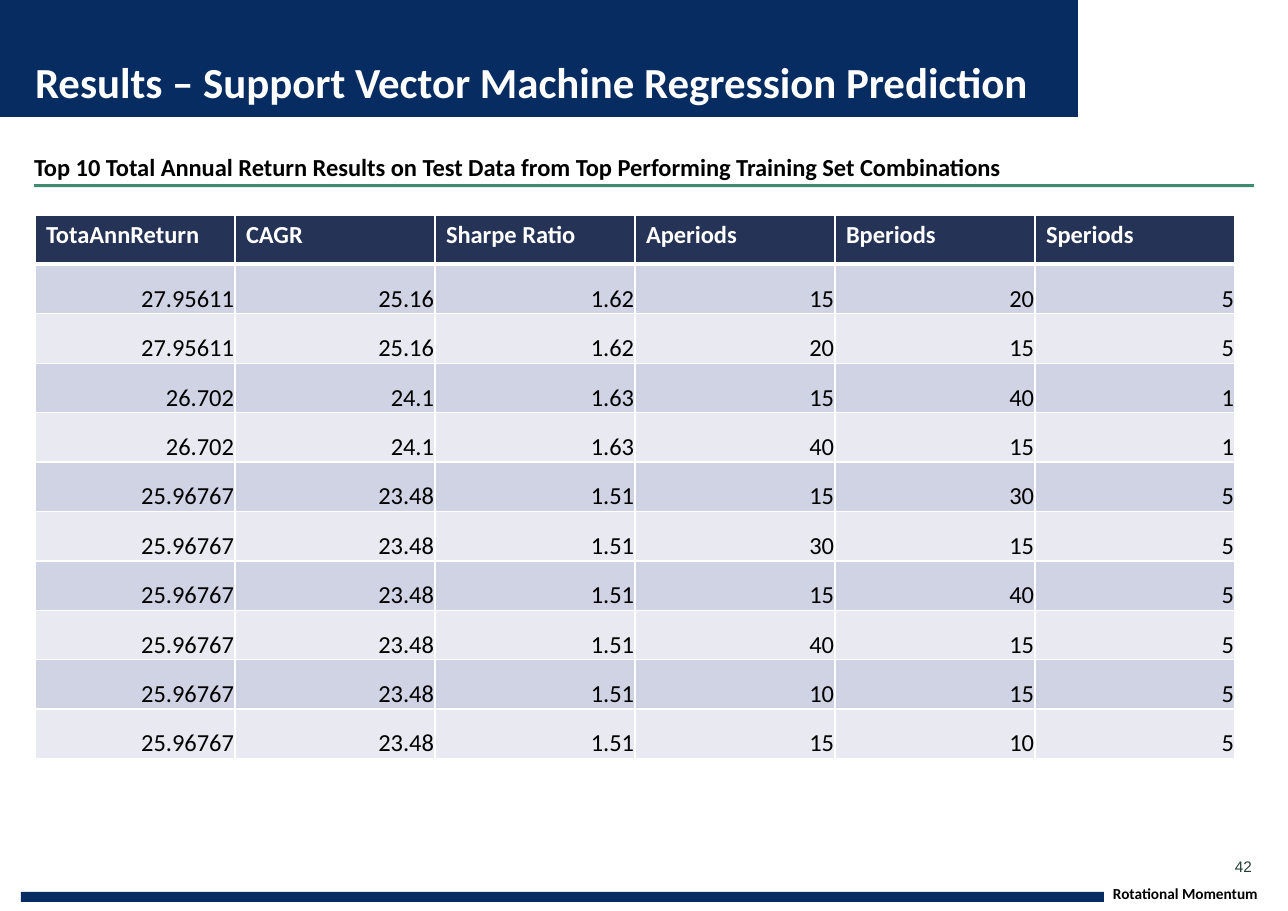
from lxml import etree
from pptx import Presentation
from pptx.dml.color import RGBColor
from pptx.enum.shapes import MSO_SHAPE
from pptx.enum.text import MSO_ANCHOR, MSO_AUTO_SIZE, PP_ALIGN
from pptx.oxml import parse_xml
from pptx.oxml.ns import nsdecls, qn
from pptx.util import Pt

RECT = MSO_SHAPE.RECTANGLE
TOP, MIDDLE, BOTTOM = MSO_ANCHOR.TOP, MSO_ANCHOR.MIDDLE, MSO_ANCHOR.BOTTOM
LEFT, RIGHT = PP_ALIGN.LEFT, PP_ALIGN.RIGHT
NO_FIT = MSO_AUTO_SIZE.NONE

NAVY = RGBColor(0x07, 0x2C, 0x62)
HEADER = RGBColor(0x25, 0x33, 0x56)
BAND_DARK = RGBColor(0xD0, 0xD3, 0xE3)
BAND_LIGHT = RGBColor(0xE9, 0xEA, 0xF1)
GREEN = RGBColor(0x40, 0x8B, 0x70)
DARK_GREEN = RGBColor(0x23, 0x40, 0x35)
WHITE = RGBColor(0xFF, 0xFF, 0xFF)
BLACK = RGBColor(0x00, 0x00, 0x00)

PX = 8298
SLIDE_W, SLIDE_H = 1288, 911

HEADINGS = ["TotaAnnReturn", "CAGR", "Sharpe Ratio", "Aperiods", "Bperiods", "Speriods"]
RESULTS = [
    ["27.95611", "25.16", "1.62", "15", "20", "5"],
    ["27.95611", "25.16", "1.62", "20", "15", "5"],
    ["26.702", "24.1", "1.63", "15", "40", "1"],
    ["26.702", "24.1", "1.63", "40", "15", "1"],
    ["25.96767", "23.48", "1.51", "15", "30", "5"],
    ["25.96767", "23.48", "1.51", "30", "15", "5"],
    ["25.96767", "23.48", "1.51", "15", "40", "5"],
    ["25.96767", "23.48", "1.51", "40", "15", "5"],
    ["25.96767", "23.48", "1.51", "10", "15", "5"],
    ["25.96767", "23.48", "1.51", "15", "10", "5"],
]


class Deck:
    font = "Calibri"

    def __init__(self):
        self.prs = Presentation()
        self.prs.slide_width, self.prs.slide_height = SLIDE_W * PX, SLIDE_H * PX
        self.s = self.prs.slides.add_slide(self.prs.slide_layouts[5])

    def box(self, x, y, w, h):
        return [v * PX for v in (x, y, w, h)]

    def style(self, p, size, color, bold=False, font=None, align=LEFT):
        p.alignment = align
        f = p.font
        f.name, f.size, f.bold = font or self.font, Pt(size), bold
        f.color.rgb = color

    def set_text(self, sp, text, size, color, bold=True, font=None, anchor=BOTTOM, wrap=True):
        tf = sp.text_frame
        tf.text = text
        tf.word_wrap, tf.auto_size, tf.vertical_anchor = wrap, NO_FIT, anchor
        tf.margin_left = tf.margin_top = tf.margin_right = tf.margin_bottom = 0
        self.style(tf.paragraphs[0], size, color, bold, font)
        return tf

    def rect(self, x, y, w, h, color, line=None):
        sp = self.s.shapes.add_shape(RECT, *self.box(x, y, w, h))
        sp.shadow.inherit = False
        sp.fill.solid()
        sp.fill.fore_color.rgb = color
        if line:
            sp.line.color.rgb = color
            sp.line.width = Pt(line)
        else:
            sp.line.fill.background()
        return sp

    def title(self, x, y, w, h, text):
        sp = self.s.shapes.title
        sp.left, sp.top, sp.width, sp.height = self.box(x, y, w, h)
        self.set_text(sp, text, 28, WHITE)
        self.s.shapes._spTree.append(sp._element)

    def label(self, x, y, w, h, text, size, color, **options):
        sp = self.s.shapes.add_textbox(*self.box(x, y, w, h))
        self.set_text(sp, text, size, color, **options)

    def subtitle(self, x, y, w, h, text):
        sp = self.rect(x, y, w, h, WHITE)
        effects = sp._element.spPr.find(qn("a:effectLst"))
        effects.append(parse_xml(
            f'<a:outerShdw {nsdecls("a")} blurRad="0" dist="{Pt(2)}" dir="5400000" '
            f'algn="ctr" rotWithShape="0"><a:srgbClr val="{GREEN}"/></a:outerShdw>'))
        tf = self.set_text(sp, text, 16, BLACK)
        tf.margin_bottom = 3 * PX
        tf.paragraphs[0].line_spacing = 1.1

    def border(self, cell, top, bottom):
        tcPr = cell._tc.get_or_add_tcPr()
        for side, width in (("L", 1), ("R", 1), ("T", top), ("B", bottom)):
            ln = etree.SubElement(tcPr, qn(f"a:ln{side}"), w=str(Pt(width)))
            fill = etree.SubElement(ln, qn("a:solidFill"))
            etree.SubElement(fill, qn("a:srgbClr"), val=str(WHITE))

    def cell(self, cell, row, text):
        header = row == 0
        self.border(cell, 3 if row == 1 else 1, 3 if header else 1)
        cell.fill.solid()
        cell.fill.fore_color.rgb = HEADER if header else BAND_DARK if row % 2 else BAND_LIGHT
        cell.text = text
        cell.vertical_anchor = TOP if header else BOTTOM
        if not header:
            cell.margin_left = cell.margin_top = cell.margin_right = PX
            cell.margin_bottom = 0
        self.style(cell.text_frame.paragraphs[0], 16, WHITE if header else BLACK,
                   header, align=LEFT if header else RIGHT)

    def table(self, x, y, w, h, rows):
        frame = self.s.shapes.add_table(len(rows), len(rows[0]), *self.box(x, y, w, h))
        for r, values in enumerate(rows):
            for c, text in enumerate(values):
                self.cell(frame.table.cell(r, c), r, text)


def main():
    deck = Deck()
    deck.rect(0, 0, SLIDE_W, 117, NAVY)
    deck.rect(1080, 0, 208, 117, WHITE, line=2)
    deck.rect(21, 892, 1083, 10, NAVY)
    deck.label(1113, 884, 175, 19, "Rotational Momentum", 10, BLACK)
    deck.title(35, 55, 1046, 52, "Results – Support Vector Machine Regression Prediction")
    deck.label(1235, 857, 19, 19, "42", 10, DARK_GREEN, bold=False, font="Arial",
               anchor=MIDDLE, wrap=False)
    deck.table(35, 215, 1200, 544, [HEADINGS] + RESULTS)
    deck.subtitle(34, 150, 1220, 34, "Top 10 Total Annual Return Results on Test Data "
                  "from Top Performing Training Set Combinations")
    deck.prs.save("out.pptx")


if __name__ == "__main__":
    main()
